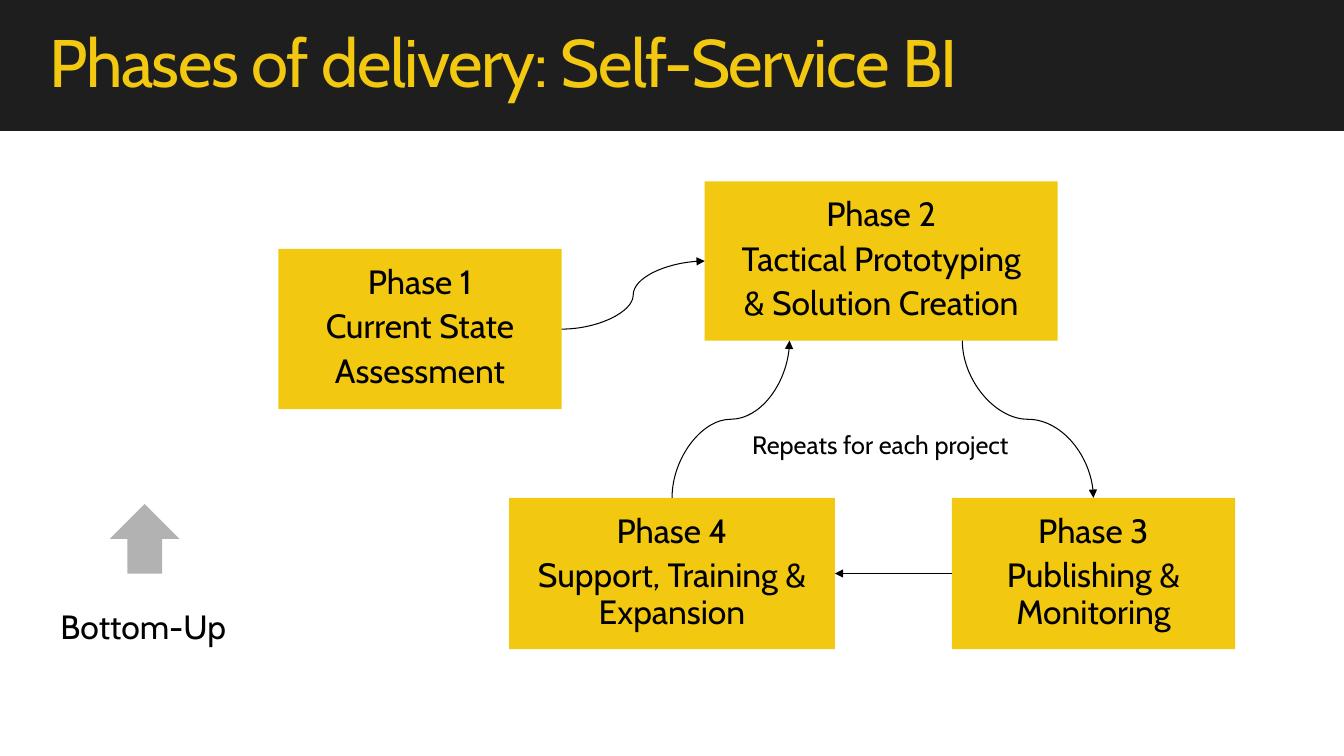
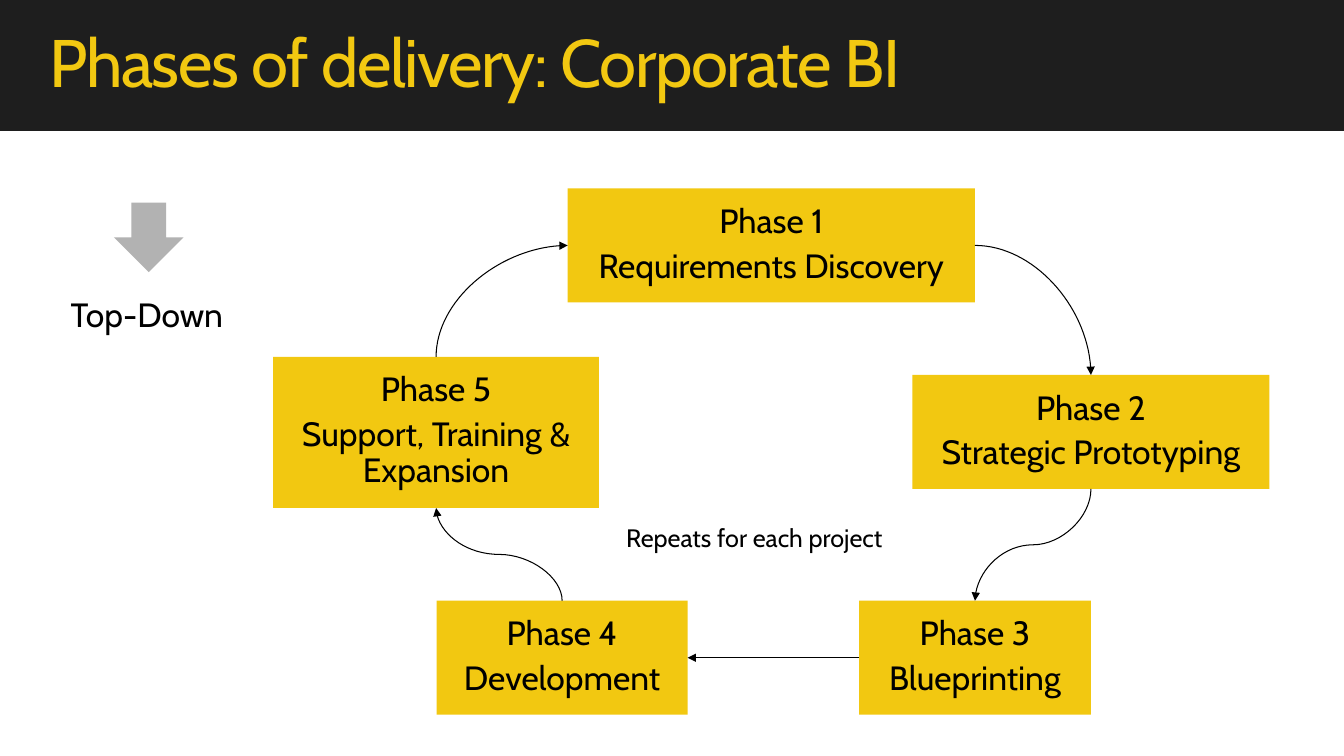
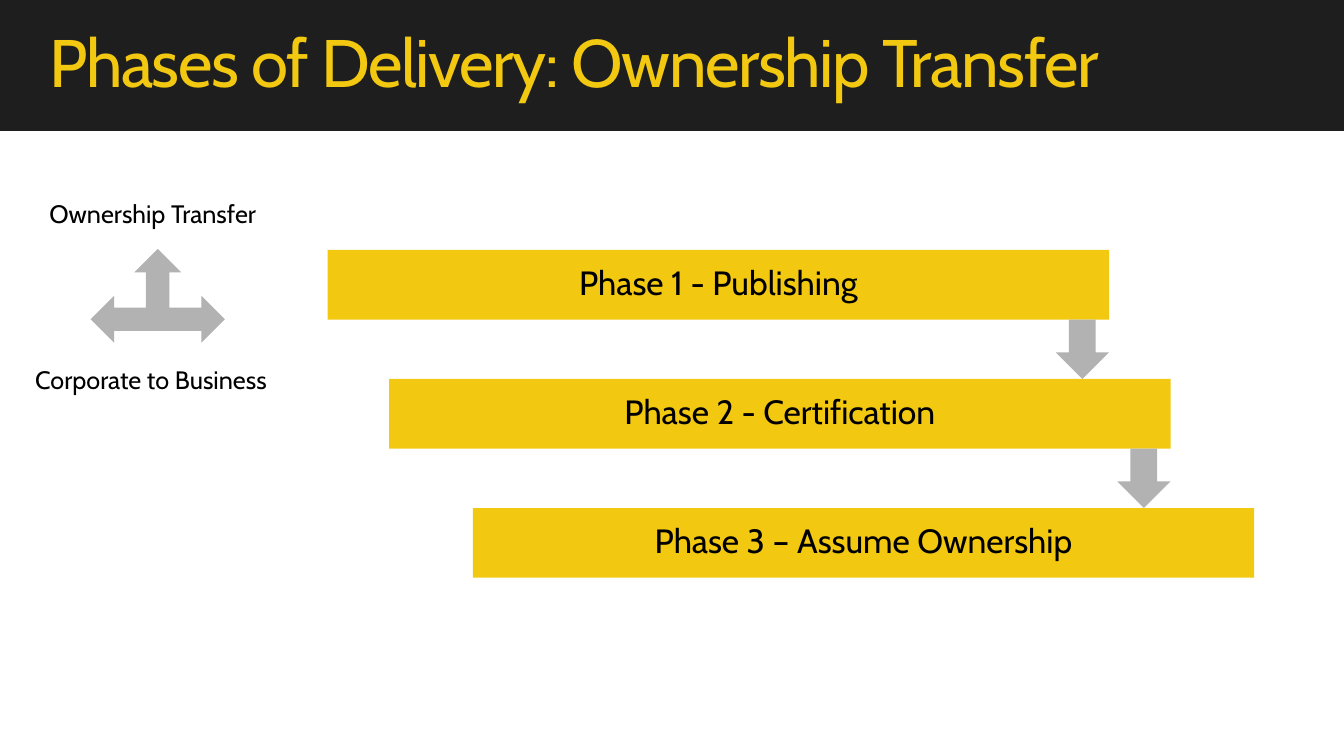
from dataclasses import dataclass

from pptx import Presentation
from pptx.dml.color import RGBColor
from pptx.enum import shapes, text
from pptx.oxml.ns import qn
from pptx.oxml import parse_xml
from pptx.util import Inches, Pt

SHAPE = shapes.MSO_SHAPE
ALIGN = text.PP_ALIGN
ANCHOR = text.MSO_ANCHOR
FIT = text.MSO_AUTO_SIZE
TOP, LEFT, BOTTOM, RIGHT = range(4)
A_NS = "http://schemas.openxmlformats.org/drawingml/2006/main"


@dataclass(frozen=True)
class Theme:
    font: str = "Cabin"
    yellow: RGBColor = RGBColor(0xF2, 0xC8, 0x11)
    band: RGBColor = RGBColor(0x1E, 0x1E, 0x1E)
    grey: RGBColor = RGBColor(0xB2, 0xB2, 0xB2)
    black: RGBColor = RGBColor(0, 0, 0)
    title: int = 48
    label: int = 24
    note: int = 18
    line: float = 0.75


THEME = Theme()
PADDING = {
    "margin_left": Inches(0.2),
    "margin_right": Inches(0.2),
    "margin_top": Inches(0.16),
    "margin_bottom": Inches(0.16),
    "vertical_anchor": ANCHOR.TOP,
    "auto_size": FIT.SHAPE_TO_FIT_TEXT,
    "word_wrap": True,
}
TITLE_FRAME = {
    "margin_left": Inches(0.2),
    "margin_right": Inches(0.16),
    "margin_top": Inches(0.1),
    "margin_bottom": Inches(0.1),
    "vertical_anchor": ANCHOR.MIDDLE,
    "auto_size": FIT.NONE,
    "word_wrap": True,
}


def apply(target, values):
    for name, value in values.items():
        setattr(target, name, value)


def inches(box):
    return [Inches(v) for v in box]


def write(tf, lines, size, color=THEME.black, align=ALIGN.LEFT, after=6, frame=PADDING):
    apply(tf, frame)
    for i, line in enumerate(lines):
        p = tf.add_paragraph() if i else tf.paragraphs[0]
        apply(p, {"alignment": align, "line_spacing": 0.9, "space_after": Pt(after)})
        r = p.add_run()
        r.text = line
        apply(r.font, {"name": THEME.font, "size": Pt(size)})
        r.font.color.rgb = color


def add_block(slide, kind, box, fill):
    sp = slide.shapes.add_shape(kind, *inches(box))
    sp.shadow.inherit = False
    sp.fill.solid()
    sp.fill.fore_color.rgb = fill
    sp.line.fill.background()
    return sp


def add_phase(slide, box, lines):
    sp = add_block(slide, SHAPE.RECTANGLE, box, THEME.yellow)
    write(sp.text_frame, lines, THEME.label, align=ALIGN.CENTER)
    return sp


def add_label(slide, box, line, size, wrap=False):
    sp = slide.shapes.add_textbox(*inches(box))
    write(sp.text_frame, [line], size, frame={**PADDING, "word_wrap": wrap})


def add_titled_slide(prs, title):
    slide = prs.slides.add_slide(prs.slide_layouts[5])
    sp = slide.shapes.title
    apply(sp, dict(zip(("left", "top", "width", "height"), inches((0.29, 0.13, 12.75, 1.05)))))
    write(sp.text_frame, [title], THEME.title, THEME.yellow, after=0, frame=TITLE_FRAME)
    for r in sp.text_frame.paragraphs[0].runs:
        r.font._element.set("spc", "-100")
    band = add_block(slide, SHAPE.RECTANGLE, (0, 0, 13.33, 1.3), THEME.band)
    sp.element.addprevious(band.element)
    return slide


def port(sp, side, share):
    if side in (TOP, BOTTOM):
        return sp.left + int(sp.width * share), sp.top + (sp.height if side == BOTTOM else 0)
    return sp.left + (sp.width if side == RIGHT else 0), sp.top + int(sp.height * share)


def turn(connector, x1, y1, x2, y2):
    dx, dy = x2 - x1, y2 - y1
    width, height = abs(dy), abs(dx)
    apply(connector, {
        "left": (x1 + x2 - width) // 2,
        "top": (y1 + y2 - height) // 2,
        "width": width,
        "height": height,
    })
    xfrm = connector.element.spPr.find(qn("a:xfrm"))
    xfrm.set("rot", str((90 if dx * dy < 0 else 270) * 60000))
    xfrm.set("flipH", str(int(dx > 0)))
    xfrm.set("flipV", str(int(dy < 0)))


def add_link(slide, start, start_side, end, end_side, start_share=0.5, end_share=0.5):
    x1, y1 = port(start, start_side, start_share)
    x2, y2 = port(end, end_side, end_share)
    straight = {start_side, end_side} == {LEFT, RIGHT} and abs(y1 - y2) < Inches(0.02)
    kind = shapes.MSO_CONNECTOR.STRAIGHT if straight else shapes.MSO_CONNECTOR.CURVE
    connector = slide.shapes.add_connector(kind, x1, y1, x2, y2)
    if start_share == 0.5:
        connector.begin_connect(start, start_side)
    if end_share == 0.5:
        connector.end_connect(end, end_side)
    spPr = connector.element.spPr
    if start_side % 2 != end_side % 2:
        spPr.find(qn("a:prstGeom")).set("prst", "curvedConnector2")
    if start_side in (TOP, BOTTOM):
        turn(connector, x1, y1, x2, y2)
    connector.line.width = Pt(THEME.line)
    connector.line.color.rgb = THEME.black
    connector.line._get_or_add_ln().append(parse_xml(f'<a:tailEnd xmlns:a="{A_NS}" type="triangle"/>'))
    spPr.append(parse_xml(f'<a:effectLst xmlns:a="{A_NS}"/>'))


def add_cycle(slide, origin, phases, links, note_at):
    x, y = origin
    blocks = [
        add_phase(slide, (x + left, y + top, width, height), [f"Phase {n}", *lines])
        for n, ((left, top, width, height), lines) in enumerate(phases, 1)
    ]
    for start, start_side, end, end_side, *shares in links:
        add_link(slide, blocks[start - 1], start_side, blocks[end - 1], end_side, *shares)
    note_box = (x + note_at[0], y + note_at[1], 3.23, 0.6)
    add_label(slide, note_box, "Repeats for each project", THEME.note, wrap=True)


def add_direction(slide, box, kind, name):
    x, y, width, height = box
    side = 0.69
    add_block(slide, kind, (x + (width - side) / 2, y, side, side), THEME.grey)
    add_label(slide, (x, y + height - side, width, side), name, THEME.label)


def add_transfer(slide, box):
    x, y = box
    add_block(slide, SHAPE.LEFT_RIGHT_UP_ARROW, (x + 0.75, y + 0.6, 1.33, 0.93), THEME.grey)
    add_label(slide, (x + 0.14, y, 2.54, 0.6), "Ownership Transfer", THEME.note)
    add_label(slide, (x, y + 1.64, 2.83, 0.6), "Corporate to Business", THEME.note)


def add_cascade(slide, origin, steps):
    x, y = origin
    width, height, pitch, arrow = 7.75, 0.69, 1.28, 0.53
    for i, (indent, line) in enumerate(steps):
        left, top = x + indent, y + i * pitch
        add_phase(slide, (left, top, width, height), [line])
        if i < len(steps) - 1:
            box = (left + width - arrow, top + height, arrow, pitch - height)
            add_block(slide, SHAPE.DOWN_ARROW, box, THEME.grey)


def self_service(prs):
    slide = add_titled_slide(prs, "Phases of delivery: Self-Service BI")
    add_direction(slide, (0.4, 5, 2.07, 1.59), SHAPE.UP_ARROW, "Bottom-Up")
    phases = [
        ((0, 0.67, 2.81, 1.59), ["Current State", "Assessment"]),
        ((4.23, 0, 3.5, 1.58), ["Tactical Prototyping", "& Solution Creation"]),
        ((6.68, 3.14, 2.81, 1.5), ["Publishing & Monitoring"]),
        ((2.29, 3.14, 3.23, 1.5), ["Support, Training & Expansion"]),
    ]
    links = [
        (1, RIGHT, 2, LEFT),
        (2, BOTTOM, 3, TOP, 0.73),
        (4, TOP, 2, BOTTOM, 0.5, 0.24),
        (3, LEFT, 4, RIGHT),
    ]
    add_cycle(slide, (2.76, 1.8), phases, links, (4.5, 2.36))


def corporate(prs):
    slide = add_titled_slide(prs, "Phases of delivery: Corporate BI")
    phases = [
        ((2.92, 0, 4.04, 1.13), ["Requirements Discovery"]),
        ((6.34, 1.85, 3.54, 1.13), ["Strategic Prototyping"]),
        ((5.81, 4.09, 2.3, 1.13), ["Blueprinting"]),
        ((1.62, 4.09, 2.49, 1.13), ["Development"]),
        ((0, 1.67, 3.23, 1.5), ["Support, Training & Expansion"]),
    ]
    links = [
        (1, RIGHT, 2, TOP),
        (2, BOTTOM, 3, TOP),
        (3, LEFT, 4, RIGHT),
        (4, TOP, 5, BOTTOM),
        (5, TOP, 1, LEFT),
    ]
    add_cycle(slide, (2.71, 1.87), phases, links, (3.3, 3.21))
    add_direction(slide, (0.5, 2.01, 1.95, 1.48), SHAPE.DOWN_ARROW, "Top-Down")


def ownership(prs):
    slide = add_titled_slide(prs, "Phases of Delivery: Ownership Transfer")
    add_transfer(slide, (0.15, 1.87))
    steps = [
        (0, "Phase 1 - Publishing"),
        (0.61, "Phase 2 - Certification"),
        (1.44, "Phase 3 – Assume Ownership"),
    ]
    add_cascade(slide, (3.25, 2.48), steps)


def main():
    prs = Presentation()
    apply(prs, {"slide_width": Inches(13.33), "slide_height": Inches(7.5)})
    for build in (self_service, corporate, ownership):
        build(prs)
    prs.save("out.pptx")


if __name__ == "__main__":
    main()
